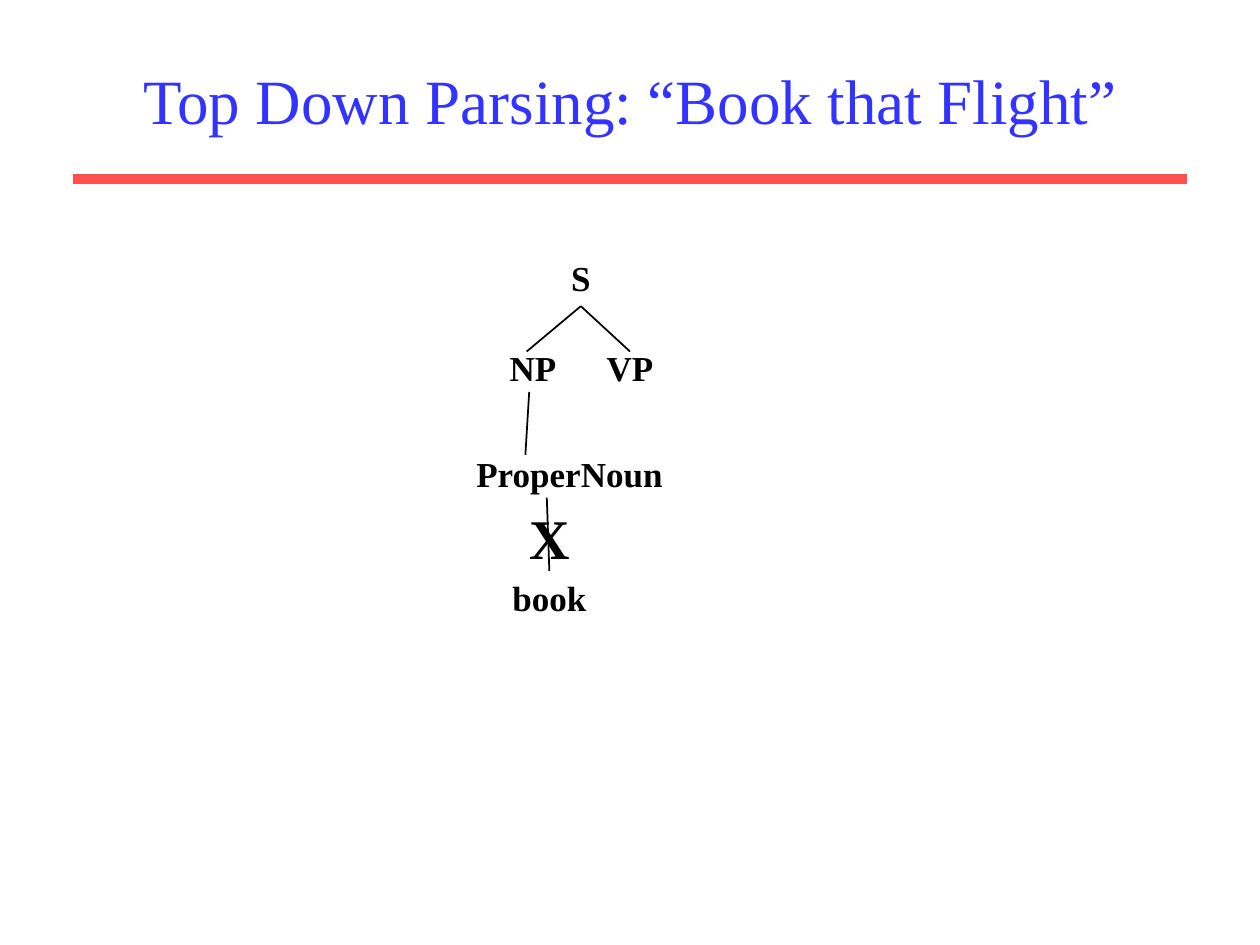
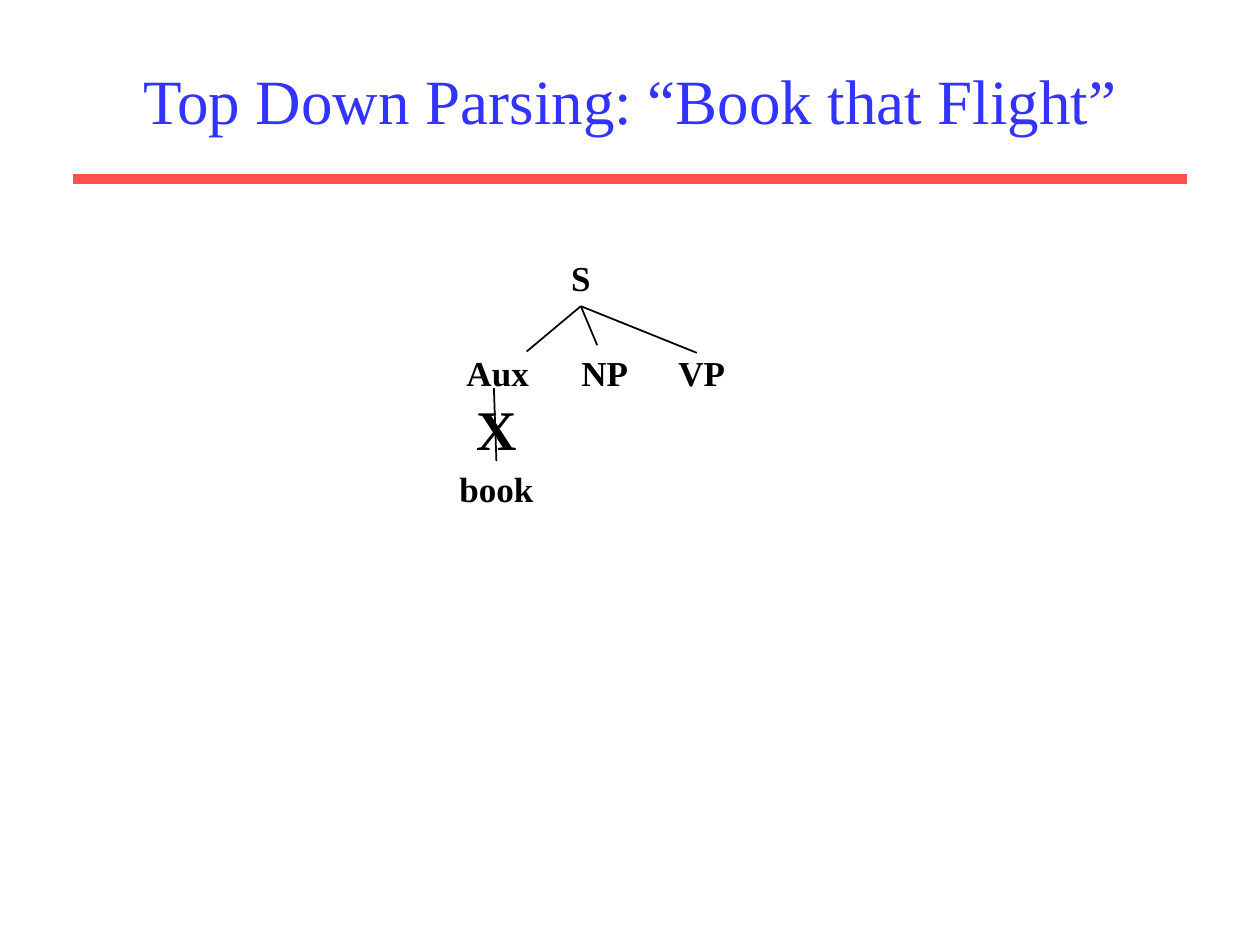
from pptx import Presentation
from pptx.dml.color import RGBColor
from pptx.enum.shapes import MSO_CONNECTOR
from pptx.enum.text import MSO_ANCHOR, MSO_AUTO_SIZE, PP_ALIGN
from pptx.oxml.ns import qn
from pptx.util import Inches, Pt

STRAIGHT = MSO_CONNECTOR.STRAIGHT
MIDDLE = MSO_ANCHOR.MIDDLE
CENTER = PP_ALIGN.CENTER
NO_FIT, GROW = MSO_AUTO_SIZE.NONE, MSO_AUTO_SIZE.SHAPE_TO_FIT_TEXT
TITLE_ONLY = 5
TOP_SIDE, BOTTOM_SIDE = 0, 2

FONT = "Times New Roman"
COLORS = {"title": "3333FF", "rule": "FF5050", "ink": "000000"}
TITLE = "Top Down Parsing: “Book that Flight”"
COLUMNS, ROWS = 100, 75


class TreeDeck:
    """Parse-tree slides; places are columns and rows of a 100 by 75 grid."""

    def __init__(self):
        self.deck = Presentation()
        self.deck.slide_width = Inches(10)
        self.deck.slide_height = Inches(7.5)
        self.page = None

    def x(self, columns):
        return round(self.deck.slide_width * columns / COLUMNS)

    def y(self, rows):
        return round(self.deck.slide_height * rows / ROWS)

    def style(self, para, size, color, bold=False):
        para.alignment = CENTER
        para.font.name = FONT
        para.font.size = Pt(size)
        para.font.bold = bold
        para.font.color.rgb = RGBColor.from_string(COLORS[color])

    def add_page(self, title):
        self.page = self.deck.slides.add_slide(self.deck.slide_layouts[TITLE_ONLY])
        self.line((5.8, 14.2), (94.2, 14.2), "rule", 6)
        box = self.page.shapes.title
        box.left, box.top = self.x(7.5), self.y(2.5)
        box.width, box.height = self.x(85), self.y(10.8)
        frame = box.text_frame
        frame.text = title
        frame.auto_size = NO_FIT
        frame.vertical_anchor = MIDDLE
        self.style(frame.paragraphs[0], 36, "title")

    def line(self, start, end, color="ink", width=1):
        line = self.page.shapes.add_connector(
            STRAIGHT, self.x(start[0]), self.y(start[1]), self.x(end[0]), self.y(end[1]))
        line.line.color.rgb = RGBColor.from_string(COLORS[color])
        line.line.width = Pt(width)
        properties = line._element.spPr
        properties.append(properties.makeelement(qn("a:effectLst"), {}))
        return line

    def label(self, text, center, top, width, size=20, height=4.4):
        box = self.page.shapes.add_textbox(
            self.x(center - width / 2), self.y(top), self.x(width), self.y(height))
        frame = box.text_frame
        frame.text = text
        frame.word_wrap = False
        frame.auto_size = GROW
        self.style(frame.paragraphs[0], size, "ink", bold=True)
        return box

    def sentence(self, children, top, branch_ends):
        """Root S, its row of children and the branches between them."""
        root = self.label("S", 46.1, 19.9, 3.5)
        for text, center, width in children:
            self.label(text, center, top, width)
        for end in branch_ends:
            self.line((46.1, 24.3), end).begin_connect(root, BOTTOM_SIDE)

    def dead_end(self, center, top):
        """The word the parse fails to match, with its branch crossed out."""
        word = self.label("book", center, top + 5.8, 7.9)
        branch = self.line((center - 0.2, top), (center, top + 5.8))
        branch.end_connect(word, TOP_SIDE)
        self.label("X", center, top, 5.2, size=32, height=6.4)


def main():
    tree = TreeDeck()

    # S -> NP VP, with NP -> ProperNoun
    tree.add_page(TITLE)
    tree.sentence([("NP", 42.3, 5.7), ("VP", 50, 5.7)], 27,
                  [(41.8, 27.9), (50, 27.9)])
    tree.label("ProperNoun", 45.2, 35.4, 16.8)
    tree.line((42, 31.1), (41.7, 36.1))
    tree.dead_end(43.6, 39.5)

    # S -> Aux NP VP
    tree.add_page(TITLE)
    tree.sentence([("Aux", 39.5, 7), ("NP", 48, 5.7), ("VP", 55.7, 5.7)], 27.4,
                  [(41.8, 27.9), (47.4, 27.4), (55.3, 28)])
    tree.dead_end(39.4, 30.8)

    tree.deck.save("out.pptx")


if __name__ == "__main__":
    main()
